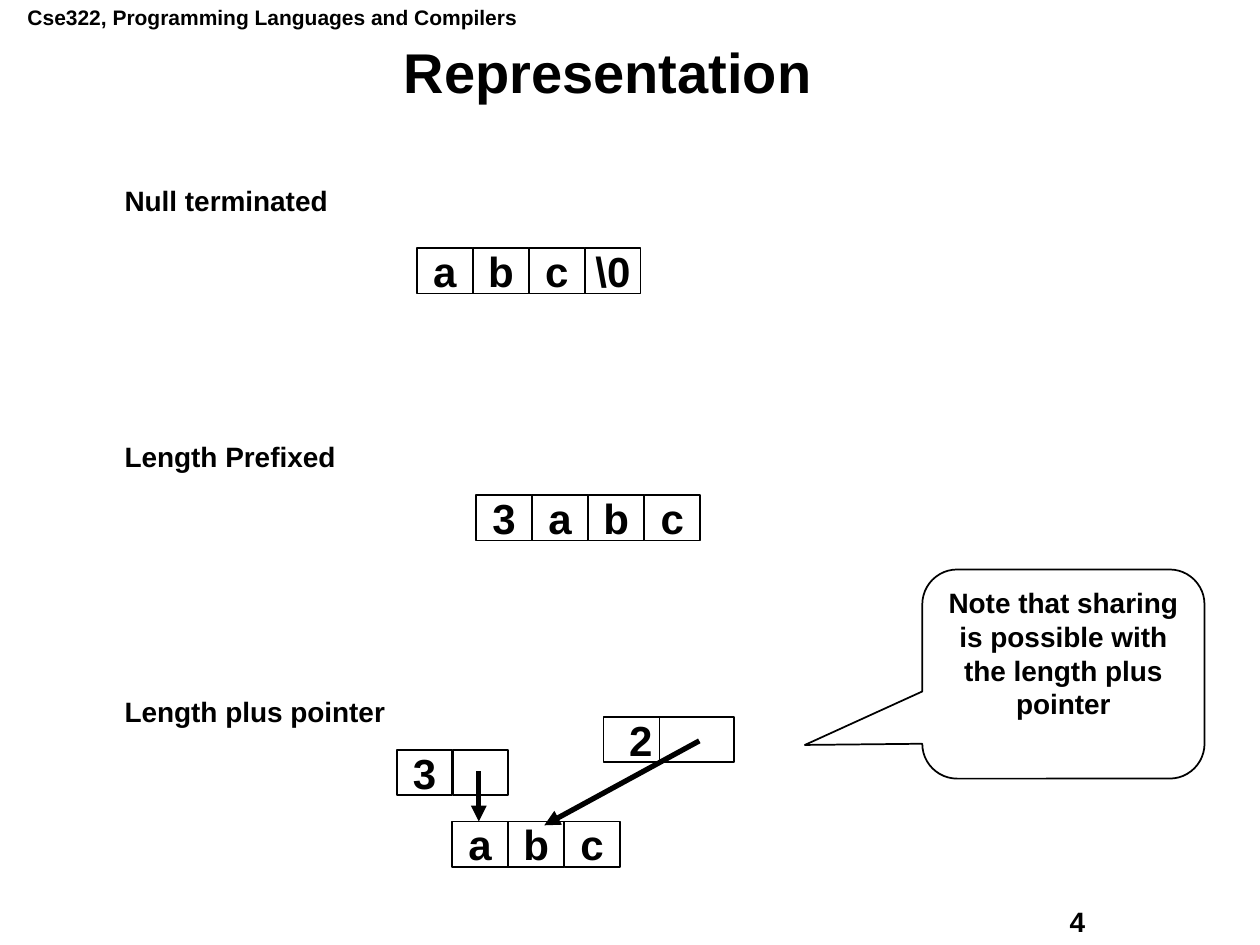
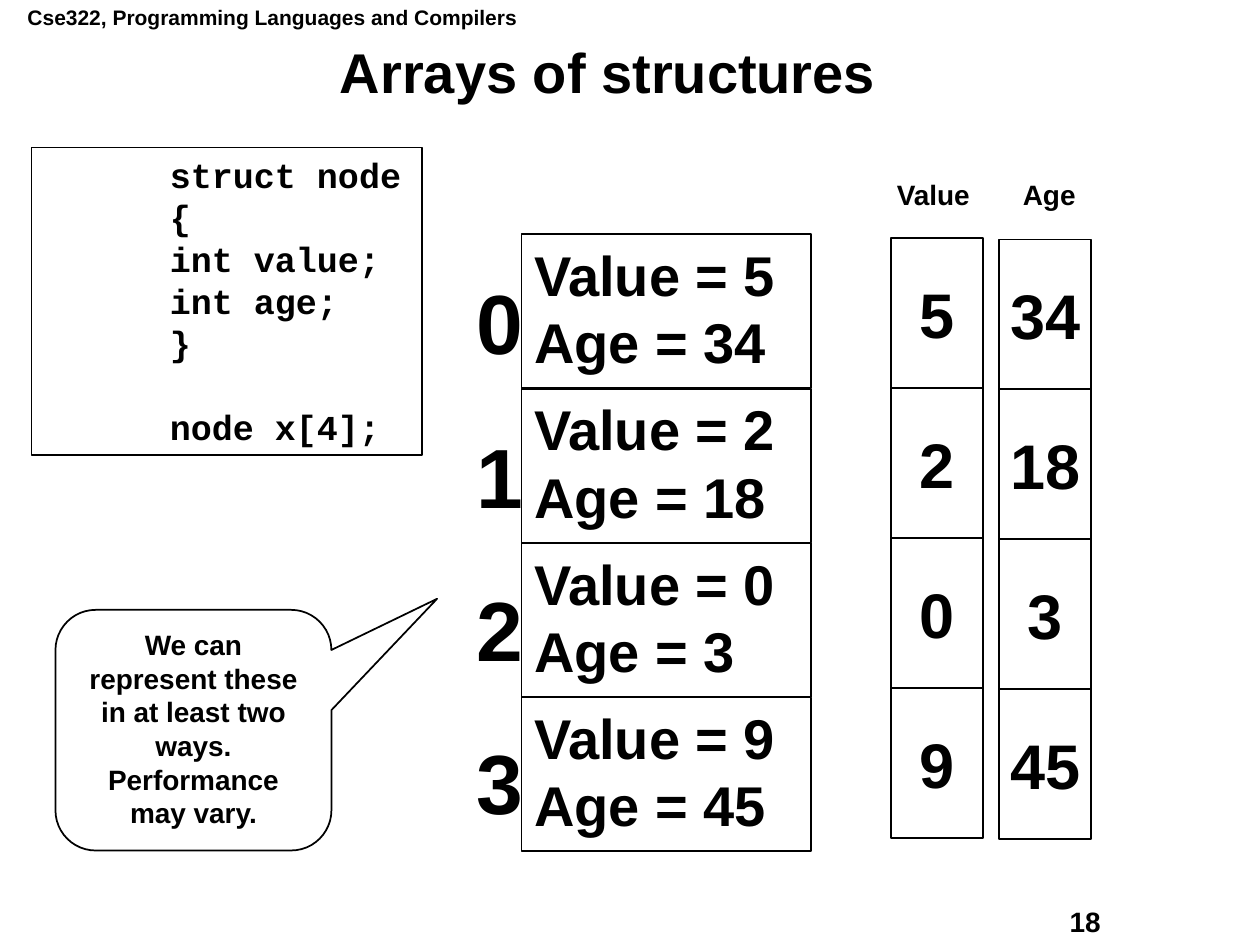
from dataclasses import dataclass

from lxml import etree
from pptx import Presentation
from pptx import util as u
from pptx.dml.color import RGBColor
from pptx.enum import shapes, text
from pptx.oxml.ns import qn


@dataclass(frozen=True)
class Theme:
    """Colours, fonts and type sizes shared by the slides."""

    ink: RGBColor = RGBColor(0, 0, 0)
    paper: RGBColor = RGBColor(255, 255, 255)
    body_font: str = "Arial"
    code_font: str = "Courier New"
    header: int = 12
    body: int = 16
    code: int = 20
    cell: int = 24
    title: int = 32
    column: int = 36
    index: int = 48
    leading: float = 1.2
    outline: int = 1
    arrow: int = 3


THEME = Theme()
LEFT, CENTER = text.PP_ALIGN.LEFT, text.PP_ALIGN.CENTER
TOP, MIDDLE = text.MSO_ANCHOR.TOP, text.MSO_ANCHOR.MIDDLE
CELL_STEP = 0.445
CELL_HEIGHT = 0.36
RECORDS = [(5, 34), (2, 18), (0, 3), (9, 45)]


def inches(box):
    """Turn a box given in inches into lengths."""
    return [u.Inches(value) for value in box]


def write(shape, words, size, align=LEFT, anchor=TOP, wrap=True,
          font=THEME.body_font, leading=THEME.leading, gap=0):
    """Fill a shape with bold paragraphs, one for each line of words."""
    frame = shape.text_frame
    frame.text = words
    frame.word_wrap = wrap
    frame.vertical_anchor = anchor
    for number, paragraph in enumerate(frame.paragraphs):
        paragraph.alignment = align
        paragraph.line_spacing = u.Pt(size * leading)
        if number and gap:
            paragraph.space_before = u.Pt(gap)
        for run in paragraph.runs:
            run.font.name = font
            run.font.size = u.Pt(size)
            run.font.bold = True
            run.font.color.rgb = THEME.ink
    return frame


def add_text(slide, box, words, size, **style):
    """Add a text box."""
    return write(slide.shapes.add_textbox(*inches(box)), words, size, **style)


def add_outlined(slide, box, kind=shapes.MSO_SHAPE.RECTANGLE, filled=True):
    """Add a preset shape with a thin dark outline."""
    shape = slide.shapes.add_shape(kind, *inches(box))
    shape.shadow.inherit = False
    if filled:
        shape.fill.solid()
        shape.fill.fore_color.rgb = THEME.paper
    else:
        shape.fill.background()
    shape.line.color.rgb = THEME.ink
    shape.line.width = u.Pt(THEME.outline)
    return shape


def add_cell(slide, box, words, size):
    """Add a box with one centred value, or an empty one."""
    cell = add_outlined(slide, box)
    if words:
        write(cell, words, size, align=CENTER, anchor=MIDDLE, wrap=False)


def add_cells(slide, left, top, values, width=0.44):
    """Add a row of adjoining memory cells."""
    for number, value in enumerate(values):
        box = (left + number * CELL_STEP, top, width, CELL_HEIGHT)
        add_cell(slide, box, value, THEME.cell)


def add_arrow(slide, start, end):
    """Add a pointer arrow."""
    arrow = slide.shapes.add_connector(
        shapes.MSO_CONNECTOR.STRAIGHT, *inches(start + end))
    arrow.line.color.rgb = THEME.ink
    arrow.line.width = u.Pt(THEME.arrow)
    etree.SubElement(arrow.line._get_or_add_ln(), qn("a:tailEnd"), type="triangle")
    etree.SubElement(arrow._element.spPr, qn("a:effectLst"))


def add_callout(slide, box, words, tip):
    """Add a rounded speech bubble whose tip is relative to its centre."""
    callout = add_outlined(slide, box, shapes.MSO_SHAPE.ROUNDED_RECTANGULAR_CALLOUT)
    for number, value in enumerate((*tip, 0.167)):
        callout.adjustments[number] = value
    write(callout, words, THEME.body, align=CENTER)


def add_code(slide, box, lines, last_line):
    """Add a code listing whose last line stands apart."""
    listing = add_outlined(slide, box, filled=False)
    frame = write(listing, "\n".join([*lines, last_line]), THEME.code,
                  font=THEME.code_font)
    for paragraph in frame.paragraphs:
        properties = paragraph._p.get_or_add_pPr()
        properties.set("marL", str(u.Inches(1)))
        properties.set("indent", "0")
    frame.paragraphs[-1].space_before = u.Pt(THEME.code * THEME.leading)


def add_records(slide, left, top):
    """Add the stacked records with their indexes on the left."""
    width, height, step = 2.3, 1.22, 1.225
    for number, (value, age) in enumerate(RECORDS):
        record = add_outlined(slide, (left, top + number * step, width, height))
        write(record, f"Value = {value}\nAge = {age}", THEME.title)
    indexes = "\n".join(str(number) for number in range(len(RECORDS)))
    add_text(slide, (left - 0.46, top + 0.24, 0.63, 4.55), indexes,
             THEME.index, gap=30)


def add_columns(slide, left, top):
    """Add one array for each field, under a heading line."""
    width, height, column_step = 0.73, 1.19, 0.86
    for column, values in enumerate(zip(*RECORDS)):
        for row, value in enumerate(values):
            box = (left + column * column_step,
                   top + column * 0.01 + row * height, width, height)
            add_cell(slide, box, str(value), THEME.column)
    heading = slide.shapes.add_textbox(*inches((left - 0.05, top - 0.53, 1.94, 0.37)))
    properties = heading.text_frame.paragraphs[0]._p.get_or_add_pPr()
    tabs = etree.SubElement(properties, qn("a:tabLst"))
    etree.SubElement(tabs, qn("a:tab"), pos=str(u.Inches(0.82)), algn="l")
    write(heading, "Value\tAge", THEME.body)


def add_base_slide(presentation, title, number):
    """Add a slide with course line, title and page number."""
    slide = presentation.slides.add_slide(presentation.slide_layouts[6])
    add_text(slide, (0.12, -0.01, 4.4, 0.3),
             "Cse322, Programming Languages and Compilers", THEME.header)
    add_text(slide, (8.39, 7.13, 1.27, 0.36), str(number), THEME.body)
    add_text(slide, (0.31, 0.31, 9.03, 0.56), title, THEME.title,
             align=CENTER, anchor=MIDDLE, leading=0.9 * THEME.leading)
    return slide


def build_representation(presentation):
    """Build the slide on three ways to store a string."""
    slide = add_base_slide(presentation, "Representation", 4)
    add_cells(slide, 3.31, 1.97, ["a", "b", "c", "\\0"])
    add_cells(slide, 3.78, 3.93, ["3", "a", "b", "c"])
    add_cells(slide, 3.59, 6.52, ["a", "b", "c"])
    add_cells(slide, 3.15, 5.95, ["3", ""])
    add_arrow(slide, (3.8, 6.12), (3.8, 6.52))
    add_text(slide, (0.89, 1.41, 2.78, 4.83),
             "Null terminated\nLength Prefixed\nLength plus pointer",
             THEME.body, gap=126.8)
    add_cells(slide, 4.79, 5.69, ["2", ""], width=0.59)
    add_arrow(slide, (5.55, 5.88), (4.32, 6.55))
    add_callout(slide, (7.32, 4.52, 2.24, 1.66),
                "Note that sharing is possible with the length plus pointer",
                (-0.916, 0.339))


def build_arrays(presentation):
    """Build the slide on two layouts for an array of structures."""
    slide = add_base_slide(presentation, "Arrays of structures", 18)
    add_code(slide, (0.25, 1.17, 3.1, 2.44),
             ["struct node {", "int value;", "int age;", "}"], "node x[4];")
    add_records(slide, 4.14, 1.86)
    add_columns(slide, 7.07, 1.89)
    add_callout(slide, (0.44, 4.84, 2.19, 1.91),
                "We can represent these in at least two ways. "
                "Performance may vary.", (0.883, -0.546))


def main():
    """Build and save the presentation."""
    presentation = Presentation()
    presentation.slide_width = u.Inches(10)
    presentation.slide_height = u.Inches(7.5)
    build_representation(presentation)
    build_arrays(presentation)
    presentation.save("out.pptx")


if __name__ == "__main__":
    main()
